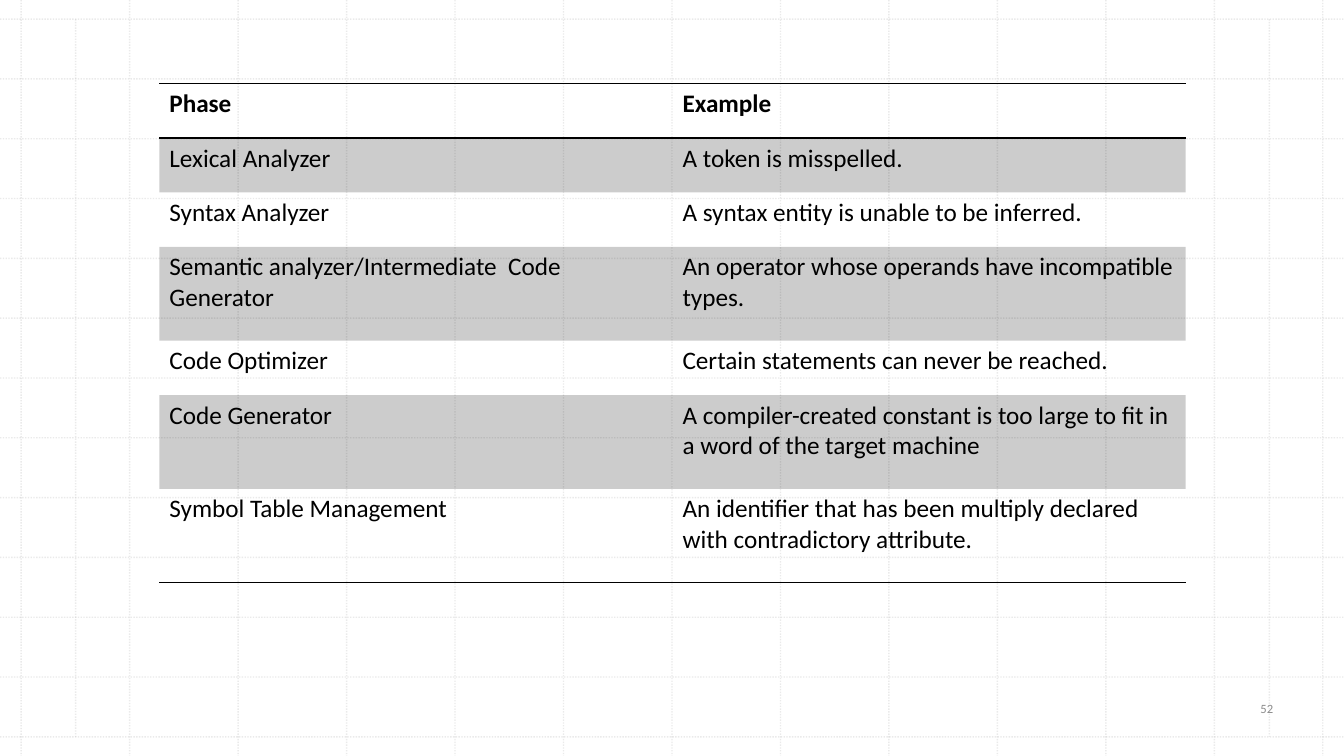
import pptx
import pptx.util
import pptx.dml.color
import pptx.enum.dml
import pptx.enum.shapes
import pptx.enum.text
import pptx.oxml.ns
from lxml import etree

Inches = pptx.util.Inches
Pt = pptx.util.Pt
RGBColor = pptx.dml.color.RGBColor
qn = pptx.oxml.ns.qn

COLORS = {"grid": "BCBCBC", "ink": "000000", "page_number": "8C8C8C"}
FONT = "Calibri"
NO_STYLE = "{2D5ABB26-0587-4C30-8999-92F81FD0307C}"


def set_alpha(element, percent):
    for color in element.iter(qn("a:srgbClr")):
        etree.SubElement(color, qn("a:alpha"), val=str(percent * 1000))


def add_border(cell, side):
    border = etree.SubElement(cell._tc.get_or_add_tcPr(), qn(f"a:{side}"), w=str(Pt(1)))
    fill = etree.SubElement(border, qn("a:solidFill"))
    etree.SubElement(fill, qn("a:srgbClr"), val=COLORS["ink"])


prs = pptx.Presentation()
prs.slide_width = Inches(13.33)
prs.slide_height = Inches(7.5)
slide = prs.slides.add_slide(prs.slide_layouts[6])

column_step = (13.12 - 0.21) / 12
row_step = (7.31 - 0.19) / 12
columns = [0.21 + column_step * i for i in range(13)]
rows = [0.19 + row_step * i for i in range(13)]
grid = [(x, 0, x, 7.5) for x in columns]
grid += [(0, y, 13.33, y) for y in rows]
grid += [(x, 0.19, x, 7.31) for x in (0.75, 12.59)]
for ends in grid:
    grid_line = slide.shapes.add_connector(
        pptx.enum.shapes.MSO_CONNECTOR.STRAIGHT, *[Inches(end) for end in ends])
    grid_line.line.width = Pt(1)
    grid_line.line.color.rgb = RGBColor.from_string(COLORS["grid"])
    grid_line.line.dash_style = pptx.enum.dml.MSO_LINE.ROUND_DOT
    properties = grid_line._element.spPr
    set_alpha(properties, 30)
    etree.SubElement(properties, qn("a:effectLst"))

page_number = slide.shapes.add_textbox(Inches(12.03), Inches(6.8), Inches(1.07), Inches(0.46))
page_number.text_frame.word_wrap = True
page_number.text_frame.vertical_anchor = pptx.enum.text.MSO_ANCHOR.MIDDLE
number = page_number.text_frame.paragraphs[0]
number.text = "52"
number.alignment = pptx.enum.text.PP_ALIGN.CENTER
number.font.name = FONT
number.font.size = Pt(9)
number.font.color.rgb = RGBColor.from_string(COLORS["page_number"])

errors_by_phase = [
    ("Phase", "Example", 0.54),
    ("Lexical Analyzer", "A token is misspelled.", 0.54),
    ("Syntax Analyzer", "A syntax entity is unable to be inferred.", 0.54),
    ("Semantic analyzer/Intermediate  Code Generator",
     "An operator whose operands have incompatible types.", 0.93),
    ("Code Optimizer", "Certain statements can never be reached.", 0.54),
    ("Code Generator",
     "A compiler-created constant is too large to fit in a word of the target machine", 0.93),
    ("Symbol Table Management",
     "An identifier that has been multiply declared with contradictory attribute.", 0.93),
]
last = len(errors_by_phase) - 1
error_frame = slide.shapes.add_table(
    len(errors_by_phase), 2, Inches(1.58), Inches(0.83), Inches(10.18), Inches(4.95))
error_table = error_frame.table
error_frame._element.find(".//" + qn("a:tableStyleId")).text = NO_STYLE

for r, (phase, example, height) in enumerate(errors_by_phase):
    error_table.rows[r].height = Inches(height)
    for c, wording in enumerate((phase, example)):
        cell = error_table.cell(r, c)
        cell.text = wording
        entry = cell.text_frame.paragraphs[0]
        entry.font.name = FONT
        entry.font.size = Pt(18)
        entry.font.bold = r == 0
        entry.font.color.rgb = RGBColor.from_string(COLORS["ink"])
        if r == 0:
            add_border(cell, "lnT")
        if r in (0, last):
            add_border(cell, "lnB")
        if r % 2:
            cell.fill.solid()
            cell.fill.fore_color.rgb = RGBColor.from_string(COLORS["ink"])
            set_alpha(cell._tc.tcPr, 20)
        else:
            cell.fill.background()

prs.save("out.pptx")
